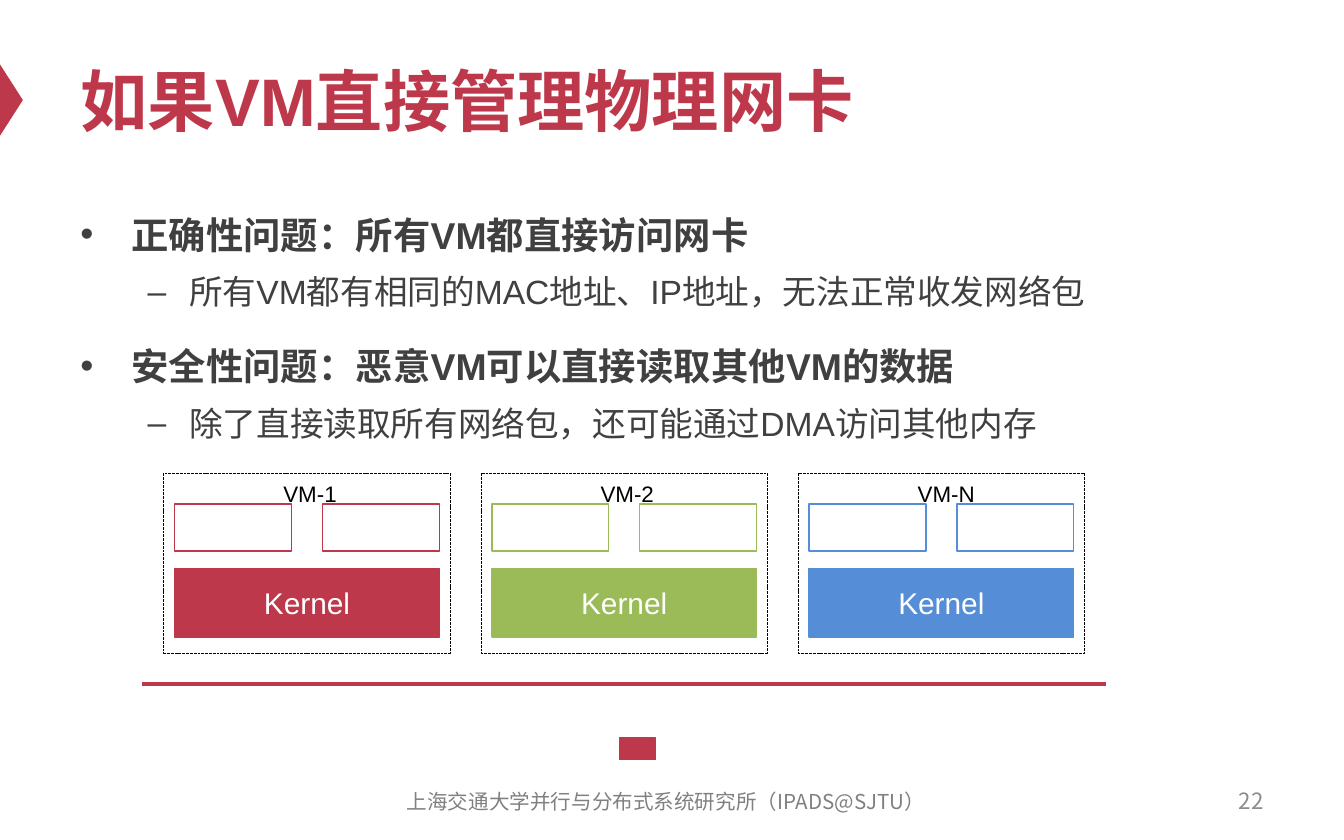
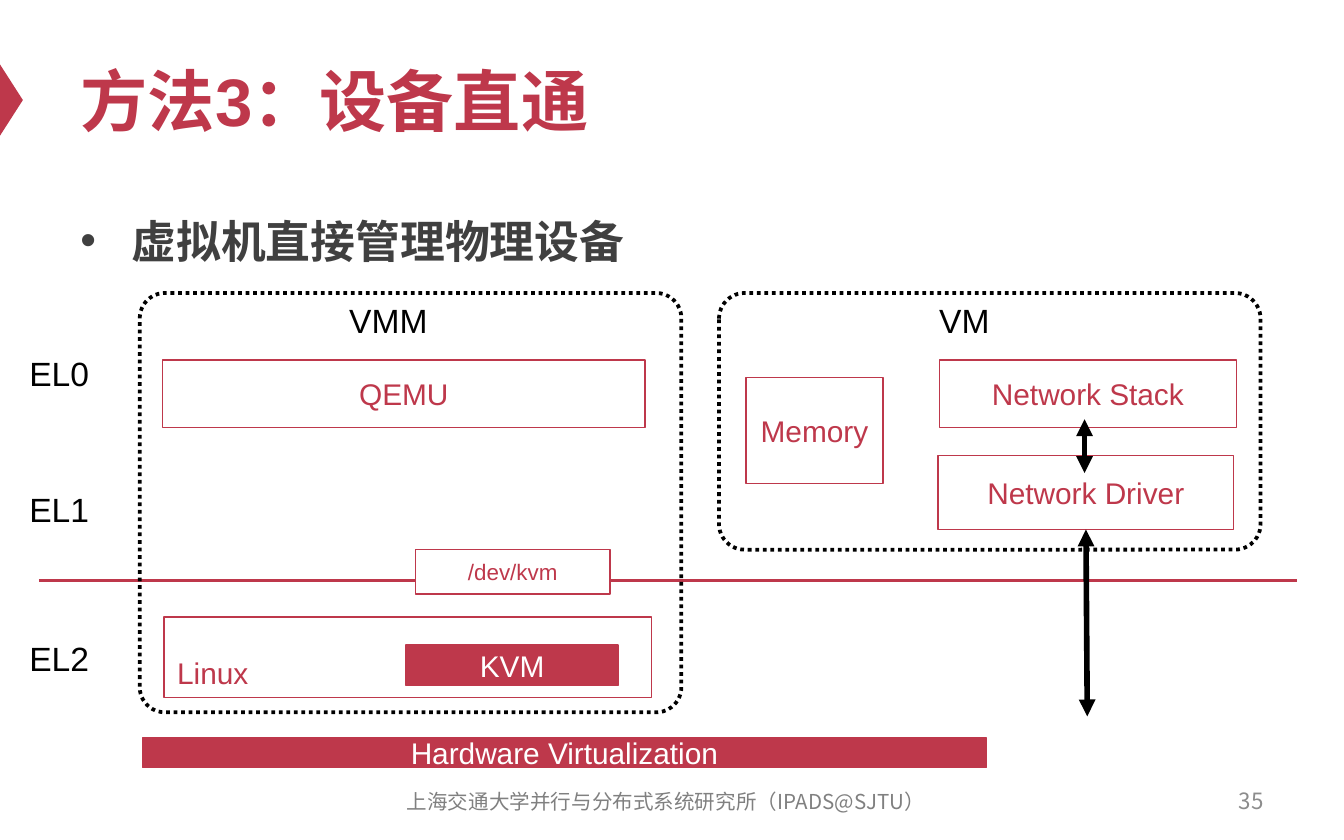
from dataclasses import dataclass
from typing import NamedTuple, Optional

import pptx
import pptx.util
import pptx.dml.color
import pptx.enum.dml
import pptx.enum.shapes
import pptx.enum.text
import pptx.oxml.ns
from lxml import etree

Inches = pptx.util.Inches
Pt = pptx.util.Pt
RGBColor = pptx.dml.color.RGBColor
SHAPE = pptx.enum.shapes.MSO_SHAPE
DASH = pptx.enum.dml.MSO_LINE
ALIGN = pptx.enum.text.PP_ALIGN
ANCHOR = pptx.enum.text.MSO_ANCHOR
AUTO_SIZE = pptx.enum.text.MSO_AUTO_SIZE
qn = pptx.oxml.ns.qn

RED = RGBColor(0xBE, 0x38, 0x4B)
GREEN = RGBColor(0x9B, 0xBB, 0x59)
BLUE = RGBColor(0x55, 0x8E, 0xD6)
WHITE = RGBColor(0xFF, 0xFF, 0xFF)
BLACK = RGBColor(0, 0, 0)
BODY_GREY = RGBColor(0x40, 0x40, 0x40)
FOOTER_GREY = RGBColor(0x80, 0x80, 0x80)
NUMBER_GREY = RGBColor(0x8C, 0x8C, 0x8C)

LATIN = "Arial"
CJK = "Noto Sans CJK SC"
FOOTER = "上海交通大学并行与分布式系统研究所（IPADS@SJTU）"


@dataclass
class Box:
    left: float
    top: float
    width: float
    height: float
    text: str = ""
    fill: Optional[RGBColor] = WHITE
    line: RGBColor = RED
    weight: float = 0.75
    dash: Optional[DASH] = None
    radius: Optional[float] = None
    size: float = 16
    color: RGBColor = RED
    align: ALIGN = ALIGN.CENTER
    anchor: ANCHOR = ANCHOR.MIDDLE


class Label(NamedTuple):
    left: float
    top: float
    width: float
    height: float
    text: str
    size: float


class Bullet(NamedTuple):
    text: str
    level: int
    size: float


class Level(NamedTuple):
    mark: str
    margin: float
    hanging: float
    space_share: float  # space before, as a share of the text size
    bold: bool


class VM(NamedTuple):
    name: str
    color: RGBColor
    app_fill: Optional[RGBColor]
    label_width: float


LEVELS = [Level("•", 0.38, 0.38, 0.6, True), Level("–", 0.81, 0.31, 0.2, False)]


def set_run(p, text: str, size: float, color: RGBColor, bold: bool = False, name: str = LATIN) -> None:
    r = p.add_run()
    r.text = text
    for key, value in {"size": Pt(size), "bold": bold, "name": name}.items():
        setattr(r.font, key, value)
    r.font.color.rgb = color
    etree.SubElement(r.font._element, qn("a:ea"), typeface=CJK)


def add_box(s, box: Box):
    kind = SHAPE.RECTANGLE if box.radius is None else SHAPE.ROUNDED_RECTANGLE
    sp = s.shapes.add_shape(kind, *map(Inches, (box.left, box.top, box.width, box.height)))
    sp.shadow.inherit = False
    if box.radius is not None:
        sp.adjustments[0] = box.radius
    if box.fill is None:
        sp.fill.background()
    else:
        sp.fill.solid()
        sp.fill.fore_color.rgb = box.fill
    sp.line.color.rgb = box.line
    sp.line.width = Pt(box.weight)
    if box.dash is not None:
        sp.line.dash_style = box.dash
    if box.text:
        tf = sp.text_frame
        tf.vertical_anchor = box.anchor
        tf.paragraphs[0].alignment = box.align
        set_run(tf.paragraphs[0], box.text, box.size, box.color)
    return sp


def add_label(s, label: Label) -> None:
    sp = s.shapes.add_textbox(*map(Inches, label[:4]))
    sp.text_frame.word_wrap = False
    sp.text_frame.auto_size = AUTO_SIZE.SHAPE_TO_FIT_TEXT
    set_run(sp.text_frame.paragraphs[0], label.text, label.size, BLACK)


def add_line(s, x1: float, y1: float, x2: float, y2: float, color: RGBColor = RED,
             weight: float = 2, arrows: bool = False):
    line = s.shapes.add_connector(pptx.enum.shapes.MSO_CONNECTOR.STRAIGHT,
                                  *map(Inches, (x1, y1, x2, y2)))
    line.line.color.rgb = color
    line.line.width = Pt(weight)
    if arrows:
        ln = line.line._get_or_add_ln()
        for end in ("a:headEnd", "a:tailEnd"):
            etree.SubElement(ln, qn(end), type="triangle")
    etree.SubElement(line._element.spPr, qn("a:effectLst"))
    return line


def add_footer_text(s, left: float, top: float, width: float, text: str, size: float,
                    color: RGBColor, align: ALIGN) -> None:
    sp = s.shapes.add_textbox(*map(Inches, (left, top, width, 0.33)))
    tf = sp.text_frame
    tf.word_wrap = True
    tf.vertical_anchor = ANCHOR.MIDDLE
    tf.paragraphs[0].alignment = align
    set_run(tf.paragraphs[0], text, size, color, name=CJK)


def add_bullets(s, bullets: list[Bullet]) -> None:
    sp = s.shapes.add_textbox(*map(Inches, (0.5, 1.46, 9, 4.12)))
    tf = sp.text_frame
    tf.word_wrap = True
    for i, bullet in enumerate(bullets):
        p = tf.add_paragraph() if i else tf.paragraphs[0]
        level = LEVELS[bullet.level]
        p.level = bullet.level
        p.line_spacing = 1.2
        p.space_before = Pt(level.space_share * bullet.size if i else 0)
        pPr = p._p.get_or_add_pPr()
        pPr.set("marL", str(Inches(level.margin)))
        pPr.set("indent", str(-Inches(level.hanging)))
        etree.SubElement(pPr, qn("a:buFont"), typeface=LATIN)
        etree.SubElement(pPr, qn("a:buChar"), char=level.mark)
        set_run(p, bullet.text, bullet.size, BODY_GREY, level.bold)


def add_slide(prs, title: str, number: int, bullets: list[Bullet]):
    """Add a slide with the shared marker, title, bullets and footer."""
    s = prs.slides.add_slide(prs.slide_layouts[5])
    marker = s.shapes.add_shape(SHAPE.ISOSCELES_TRIANGLE, *map(Inches, (-0.18, 0.66, 0.53, 0.17)))
    marker.rotation = 90
    marker.shadow.inherit = False
    marker.fill.solid()
    marker.fill.fore_color.rgb = RED
    marker.line.fill.background()

    sp = s.shapes.title
    for key, value in {"left": 0.5, "top": 0.25, "width": 9, "height": 0.98}.items():
        setattr(sp, key, Inches(value))
    tf = sp.text_frame
    tf.auto_size = AUTO_SIZE.NONE
    tf.vertical_anchor = ANCHOR.MIDDLE
    tf.paragraphs[0].alignment = ALIGN.LEFT
    set_run(tf.paragraphs[0], title, 36, RED, True)

    add_bullets(s, bullets)
    add_footer_text(s, 7.17, 5.79, 2.33, str(number), 12, NUMBER_GREY, ALIGN.RIGHT)
    add_footer_text(s, 2.79, 5.8, 4.33, FOOTER, 11, FOOTER_GREY, ALIGN.CENTER)
    return s


def add_vm(s, left: float, vm: VM) -> None:
    inner = left + 0.08
    add_box(s, Box(inner, 4.23, 1.97, 0.51, "Kernel", vm.color, vm.color, color=WHITE))
    for app_left in (inner, inner + 1.1):
        add_box(s, Box(app_left, 3.75, 0.87, 0.35, fill=vm.app_fill, line=vm.color))
    add_box(s, Box(left, 3.52, 2.13, 1.34, fill=None, line=BLACK, weight=0.5,
                   dash=DASH.SQUARE_DOT))
    add_label(s, Label(left + 0.79, 3.52, vm.label_width, 0.3, vm.name, 12))


def build_direct_nic(prs) -> None:
    s = add_slide(prs, "如果VM直接管理物理网卡", 22, [
        Bullet("正确性问题：所有VM都直接访问网卡", 0, 20),
        Bullet("所有VM都有相同的MAC地址、IP地址，无法正常收发网络包", 1, 18),
        Bullet("安全性问题：恶意VM可以直接读取其他VM的数据", 0, 20),
        Bullet("除了直接读取所有网络包，还可能通过DMA访问其他内存", 1, 18),
    ])
    add_line(s, 1.06, 5.09, 8.23, 5.09)
    vms = [VM("VM-1", RED, WHITE, 0.6), VM("VM-2", GREEN, None, 0.6),
           VM("VM-N", BLUE, None, 0.63)]
    for i, vm in enumerate(vms):
        add_vm(s, 1.22 + 2.36 * i, vm)
    add_box(s, Box(4.61, 5.49, 0.27, 0.16, fill=RED))


def build_passthrough(prs) -> None:
    s = add_slide(prs, "方法3：设备直通", 35, [Bullet("虚拟机直接管理物理设备", 0, 24)])
    add_box(s, Box(1.22, 4.59, 3.63, 0.6, "Linux", align=ALIGN.LEFT, anchor=ANCHOR.BOTTOM))
    add_box(s, Box(1.21, 2.68, 3.59, 0.5, "QEMU"))
    add_line(s, 0.29, 4.32, 9.65, 4.32)
    for name, top in {"EL0": 2.58, "EL1": 3.59, "EL2": 4.7}.items():
        add_label(s, Label(0.12, top, 1.11, 0.7, name, 18))

    driver = add_box(s, Box(6.98, 3.39, 2.2, 0.55, "Network Driver"))
    add_box(s, Box(6.99, 2.68, 2.21, 0.5, "Network Stack"))
    frame = {"fill": None, "line": BLACK, "weight": 2, "dash": DASH.ROUND_DOT}
    add_box(s, Box(5.35, 2.18, 4.03, 1.91, radius=0.1, **frame))
    add_label(s, Label(6.89, 2.18, 0.73, 0.52, "VM", 18))
    add_box(s, Box(1.04, 2.18, 4.03, 3.12, radius=0.06, **frame))
    add_label(s, Label(2.5, 2.18, 1, 0.52, "VMM", 18))

    add_box(s, Box(3.02, 4.8, 1.58, 0.3, "KVM", RED, color=WHITE))
    add_box(s, Box(3.09, 4.09, 1.45, 0.33, "/dev/kvm", size=12))
    add_box(s, Box(1.06, 5.49, 6.28, 0.22, "Hardware Virtualization", RED, color=WHITE))
    add_box(s, Box(5.55, 2.81, 1.02, 0.79, "Memory"))

    add_line(s, 8.07, 3.12, 8.07, 3.52, BLACK, 3, arrows=True)
    to_hardware = add_line(s, 8.08, 3.94, 8.09, 5.33, BLACK, 3, arrows=True)
    to_hardware.begin_connect(driver, 2)


def main() -> None:
    prs = pptx.Presentation()
    prs.slide_width = Inches(10)
    prs.slide_height = Inches(6.25)
    build_direct_nic(prs)
    build_passthrough(prs)
    prs.save("out.pptx")


if __name__ == "__main__":
    main()
